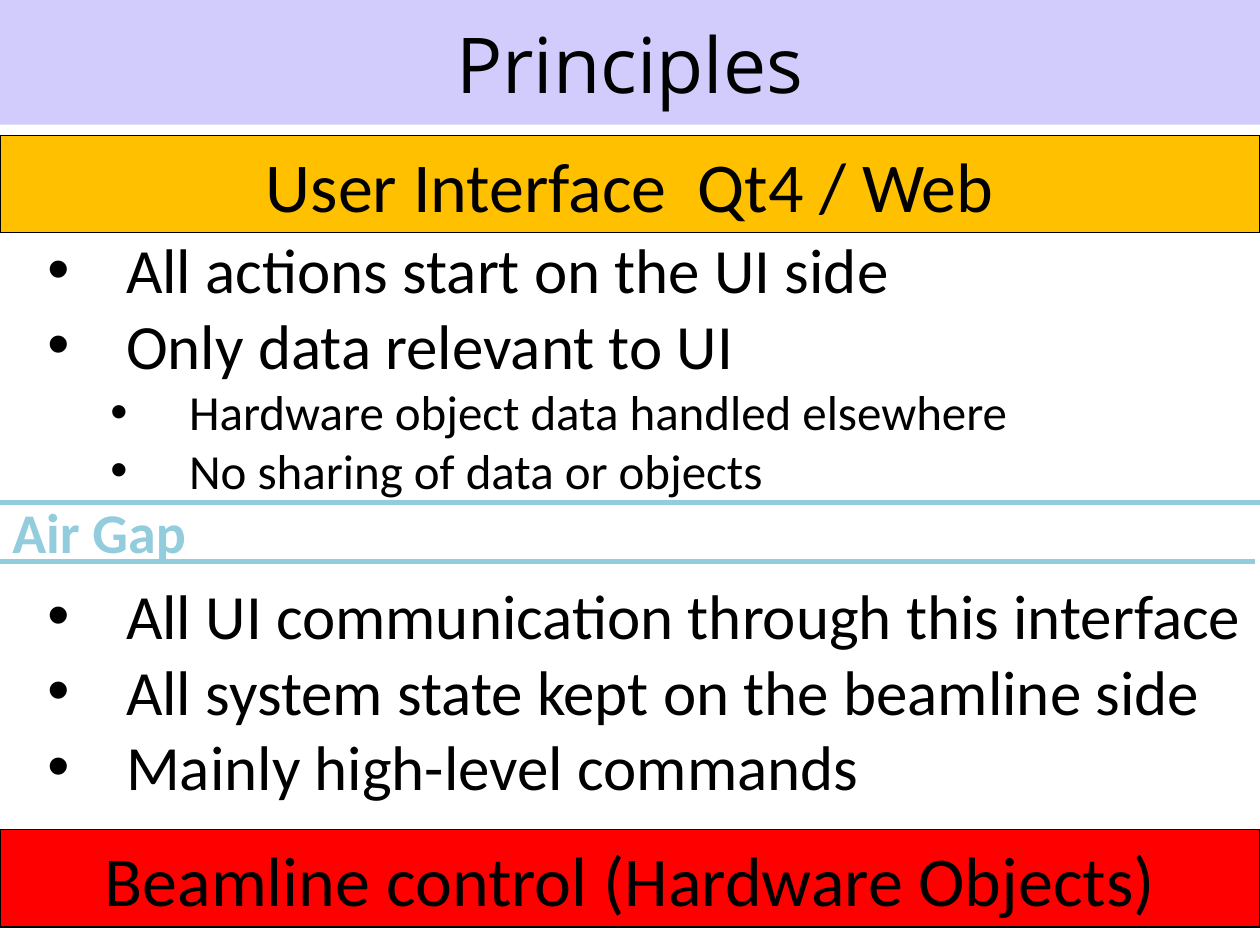
from dataclasses import dataclass

from lxml.etree import SubElement
from pptx import Presentation
from pptx.dml.color import RGBColor
from pptx.enum.shapes import MSO_CONNECTOR as Connector, MSO_SHAPE as Preset
from pptx.enum.text import MSO_ANCHOR as Anchor, PP_ALIGN as Align
from pptx.oxml.ns import qn
from pptx.util import Pt

COLORS = {
    "black": "000000",
    "lavender": "D2CCFC",
    "amber": "FFC000",
    "red": "FF0000",
    "sky": "93CDDD",
}
WIDTH, HEIGHT = 720, 540
HANG = 45
LEVEL_STEP = 36
BULLET_SIZES = (36, 28)


@dataclass
class Bar:
    text: str
    top: float
    height: float
    fill: str
    size: float = 40
    font: str = "Calibri"
    outlined: bool = True


@dataclass
class Bullet:
    text: str
    level: int = 0
    space_before: float = 0


@dataclass
class Rule:
    left: float
    top: float


BARS = (
    Bar("Principles", 0, 71.3, "lavender", 44, "Open Sans", False),
    Bar("User Interface  Qt4 / Web", 77.3, 55.7, "amber"),
    Bar("Beamline control (Hardware Objects)", 474, 55.7, "red"),
)
BULLETS = (
    Bullet("All actions start on the UI side"),
    Bullet("Only data relevant to UI"),
    Bullet("Hardware object data handled elsewhere", 1),
    Bullet("No sharing of data or objects", 1),
    Bullet("All UI communication through this interface", space_before=44),
    Bullet("All system state kept on the beamline side"),
    Bullet("Mainly high-level commands"),
)
RULES = (Rule(0, 287.1), Rule(-3, 321))


def color(name: str) -> RGBColor:
    return RGBColor.from_string(COLORS[name])


def write(paragraph, text: str, color_name: str = "black", **font_format) -> None:
    run = paragraph.add_run()
    run.text = text
    run.font.color.rgb = color(color_name)
    for name, value in font_format.items():
        setattr(run.font, name, value)


def add_bar(slide, bar: Bar) -> None:
    shape = slide.shapes.add_shape(
        Preset.RECTANGLE, Pt(0), Pt(bar.top), Pt(WIDTH), Pt(bar.height)
    )
    shape.shadow.inherit = False
    shape.fill.solid()
    shape.fill.fore_color.rgb = color(bar.fill)
    if bar.outlined:
        shape.line.color.rgb = color("black")
        shape.line.width = Pt(0.75)
    else:
        shape.line.fill.background()
    frame = shape.text_frame
    frame.vertical_anchor = Anchor.MIDDLE
    paragraph = frame.paragraphs[0]
    paragraph.alignment = Align.CENTER
    write(paragraph, bar.text, size=Pt(bar.size), name=bar.font)


def add_rule(slide, rule: Rule) -> None:
    line = slide.shapes.add_connector(
        Connector.STRAIGHT,
        Pt(rule.left), Pt(rule.top), Pt(rule.left + WIDTH), Pt(rule.top),
    )
    line.line.color.rgb = color("sky")
    line.line.width = Pt(3)
    SubElement(line.element.spPr, qn("a:effectLst"))


def add_text_frame(slide, left: float, top: float, width: float, height: float):
    box = slide.shapes.add_textbox(Pt(left), Pt(top), Pt(width), Pt(height))
    box.text_frame.word_wrap = True
    return box.text_frame


def add_bullets(slide, bullets: tuple[Bullet, ...]) -> None:
    frame = add_text_frame(slide, 20, 128.2, 700, 337)
    for index, bullet in enumerate(bullets):
        paragraph = frame.add_paragraph() if index else frame.paragraphs[0]
        paragraph.level = bullet.level
        paragraph.space_before = Pt(bullet.space_before)
        properties = paragraph._p.get_or_add_pPr()
        properties.set("marL", str(Pt(HANG + LEVEL_STEP * bullet.level)))
        properties.set("indent", str(Pt(-HANG)))
        SubElement(properties, qn("a:buFont"), typeface="Arial")
        SubElement(properties, qn("a:buChar"), char="•")
        write(paragraph, bullet.text, size=Pt(BULLET_SIZES[bullet.level]), name="Calibri")


def main() -> None:
    presentation = Presentation()
    presentation.slide_width = Pt(WIDTH)
    presentation.slide_height = Pt(HEIGHT)
    slide = presentation.slides.add_slide(presentation.slide_layouts[6])
    for bar in BARS:
        add_bar(slide, bar)
    for rule in RULES:
        add_rule(slide, rule)
    add_bullets(slide, BULLETS)
    air_gap = add_text_frame(slide, 0, 281, 116, 46)
    write(air_gap.paragraphs[0], "Air Gap", "sky", size=Pt(32), name="Calibri", bold=True)
    presentation.save("out.pptx")


main()
